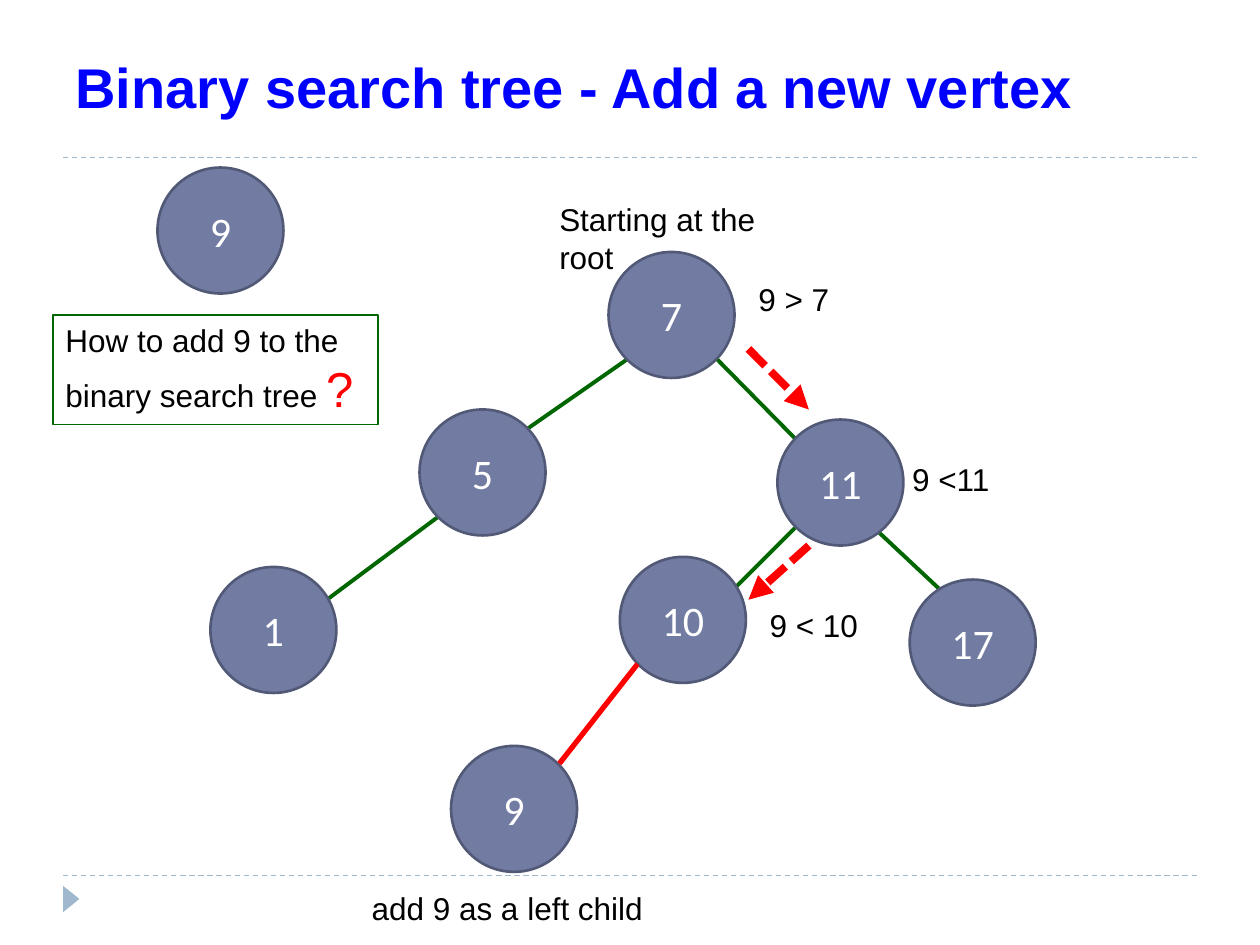
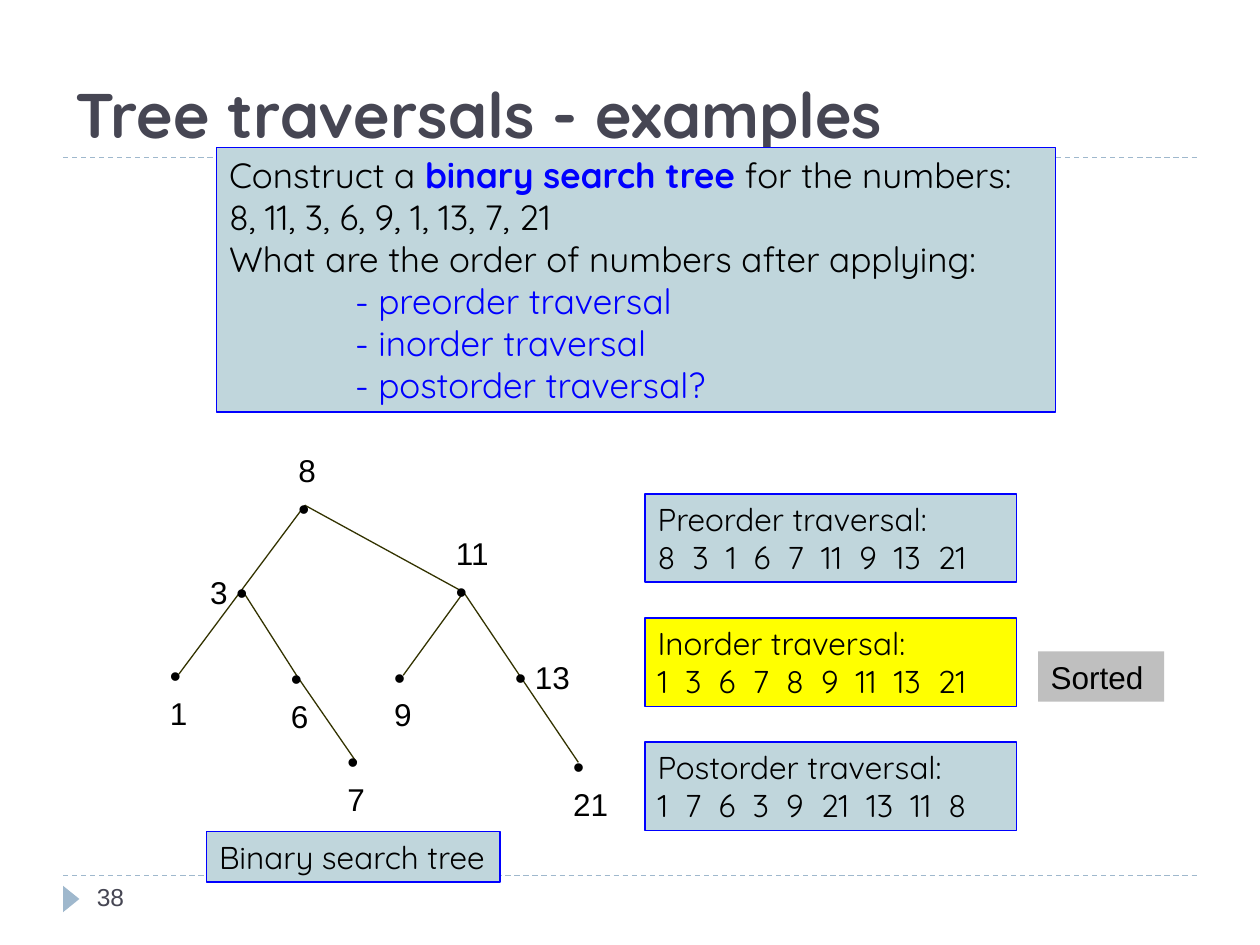
from lxml.etree import SubElement
from pptx import Presentation
from pptx.dml.color import RGBColor
from pptx.enum.dml import MSO_LINE
from pptx.enum.shapes import MSO_CONNECTOR, MSO_SHAPE as SHAPE
from pptx.enum.text import MSO_ANCHOR as ANCHOR, PP_ALIGN as ALIGN
from pptx.oxml.ns import qn
from pptx.util import Inches, Pt

BLUE = RGBColor(0x00, 0x00, 0xFF)
RED = RGBColor(0xFF, 0x00, 0x00)
GREEN = RGBColor(0x00, 0x66, 0x00)
OLIVE = RGBColor(0x33, 0x33, 0x00)
YELLOW = RGBColor(0xFF, 0xFF, 0x00)
BLACK = RGBColor(0x00, 0x00, 0x00)
WHITE = RGBColor(0xFF, 0xFF, 0xFF)
GREY = RGBColor(0xBF, 0xBF, 0xBF)
SLATE = RGBColor(0x46, 0x46, 0x53)
RULE = RGBColor(0x9F, 0xB8, 0xCD)
PANEL = RGBColor(0xC0, 0xD6, 0xDC)
NODE = RGBColor(0x72, 0x7C, 0xA3)
NODE_EDGE = RGBColor(0x52, 0x59, 0x77)
SANS, ROUND, NODE_FONT = "Arial", "Quicksand", "Calibri"
DIAMETER = 1


def format_run(r, size, font, color, bold=False):
    r.font.size = Pt(size)
    r.font.name = font
    r.font.color.rgb = color
    r.font.bold = bold


def write(tf, paragraphs, size=18, font=SANS, color=BLACK, bold=False, align=ALIGN.LEFT):
    for i, text in enumerate(paragraphs):
        p = tf.paragraphs[0] if i == 0 else tf.add_paragraph()
        p.text = text
        p.alignment = align
        for r in p.runs:
            format_run(r, size, font, color, bold)


def add_text(slide, at, paragraphs, wrap=False, anchor=ANCHOR.TOP, **style):
    tf = slide.shapes.add_textbox(*map(Inches, at)).text_frame
    tf.word_wrap = wrap
    tf.vertical_anchor = anchor
    write(tf, paragraphs, **style)


def add_shape(slide, kind, at, fill=None, line=None, width=0.75):
    sp = slide.shapes.add_shape(kind, *map(Inches, at))
    sp.shadow.inherit = False
    if fill is None:
        sp.fill.background()
    else:
        sp.fill.solid()
        sp.fill.fore_color.rgb = fill
    if line is None:
        sp.line.fill.background()
    else:
        sp.line.color.rgb = line
        sp.line.width = Pt(width)
    return sp


def add_box(slide, at, paragraphs, fill=PANEL, line=BLUE, **style):
    tf = add_shape(slide, SHAPE.RECTANGLE, at, fill, line).text_frame
    tf.word_wrap = True
    tf.vertical_anchor = ANCHOR.TOP
    write(tf, paragraphs, **style)
    return tf


def add_line(slide, start, end, color, width, dash=None, arrow=False):
    cn = slide.shapes.add_connector(MSO_CONNECTOR.STRAIGHT, *map(Inches, start + end))
    cn.line.color.rgb = color
    cn.line.width = Pt(width)
    if dash:
        cn.line.dash_style = dash
    if arrow:
        SubElement(cn.line._get_or_add_ln(), qn("a:tailEnd"), type="triangle")
    SubElement(cn._element.spPr, qn("a:effectLst"))


def add_node(slide, left, top, value):
    sp = add_shape(slide, SHAPE.OVAL, (left, top, DIAMETER, DIAMETER), NODE, NODE_EDGE, 1.5)
    sp.text_frame.vertical_anchor = ANCHOR.MIDDLE
    write(sp.text_frame, [value], size=24, font=NODE_FONT, color=WHITE, align=ALIGN.CENTER)


def new_slide(prs, title, top, **style):
    slide = prs.slides.add_slide(prs.slide_layouts[6])
    for y in (6.95, 1.25):
        add_line(slide, (0.5, y), (9.5, y), RULE, 0.75, MSO_LINE.DASH)
    marker = add_shape(slide, SHAPE.ISOSCELES_TRIANGLE, (0.46, 7.07, 0.21, 0.13), RULE)
    marker.rotation = 90
    add_text(slide, (0.5, top, 9, 1.25), [title], wrap=True, anchor=ANCHOR.BOTTOM,
             bold=True, **style)
    return slide


def build_insertion(prs):
    slide = new_slide(prs, "Binary search tree - Add a new vertex", -0.25,
                      size=32, font=SANS, color=BLUE)
    edges = [((4.98, 2.85), (4.19, 3.4)), ((3.48, 4.1), (2.5, 4.83)),
             ((5.69, 2.85), (6.31, 3.48)), ((6.31, 4.19), (5.83, 4.67)),
             ((6.97, 4.22), (7.45, 4.67))]
    for start, end in edges:
        add_line(slide, start, end, GREEN, 2.25)
    nodes = [(4.83, 2, "7"), (3.33, 3.25, "5"), (6.17, 3.33, "11"), (1.67, 4.5, "1"),
             (4.92, 4.42, "10"), (7.22, 4.6, "17"), (1.25, 1.33, "9"), (3.58, 5.92, "9")]
    for node in nodes:
        add_node(slide, *node)
    add_line(slide, (5.06, 5.27), (4.44, 6.06), RED, 3)

    question = add_box(slide, (0.42, 2.5, 2.58, 0.87),
                       ["How to add 9 to the binary search tree "], None, GREEN)
    r = question.paragraphs[0].add_run()
    r.text = "?"
    format_run(r, 28, SANS, RED)

    labels = [(5.92, 2.17, 0.76, "9 > 7"), (7.14, 3.6, 0.83, "9 <11"),
              (6.01, 4.76, 0.9, "9 < 10"), (2.85, 7.01, 2.42, "add 9 as a left child"),
              (4.34, 1.54, 2.25, "Starting at the root")]
    for left, top, width, text in labels:
        add_text(slide, (left, top, width, 0.4), [text])
    for start, end in [((5.94, 2.77), (6.42, 3.25)), ((6.42, 4.33), (5.94, 4.76))]:
        add_line(slide, start, end, RED, 4.5, MSO_LINE.SQUARE_DOT, arrow=True)


def add_exercise(slide):
    tf = add_box(slide, (1.72, 1.17, 6.66, 2.1),
                 ["Construct a ", "8, 11, 3, 6, 9, 1, 13, 7, 21",
                  "What are the order of numbers after applying:",
                  "- preorder traversal", "- inorder traversal", "- postorder traversal?"],
                 size=20, font=ROUND)
    for text, color, bold in [("binary search tree ", BLUE, True),
                              ("for the numbers:", BLACK, False)]:
        r = tf.paragraphs[0].add_run()
        r.text = text
        format_run(r, 20, ROUND, color, bold)
    for p in tf.paragraphs[3:]:
        p._p.get_or_add_pPr().set("marL", str(Inches(1)))
        p.runs[0].font.color.rgb = BLUE


def add_search_tree(slide):
    vertices = {8: (2.42, 4.01), 3: (1.92, 4.68), 11: (3.68, 4.7),
                1: (1.42, 5.35), 6: (2.36, 5.37), 9: (3.2, 5.36),
                13: (4.13, 5.37), 7: (2.83, 6.05), 21: (4.59, 6.05)}
    children = {8: (3, 11), 3: (1, 6), 11: (9, 13), 6: (7,), 13: (21,)}
    for parent, kids in children.items():
        for kid in kids:
            add_line(slide, vertices[parent], vertices[kid], OLIVE, 0.75)
    labels = [(1.57, 4.5, 0.51, ["3 •"]), (3.52, 4.19, 0.48, ["11", "•"]),
              (2.27, 3.53, 0.34, ["8", "•"]), (1.25, 5.16, 0.34, ["•", "1"]),
              (2.21, 5.18, 0.34, ["•", "6"]), (3.03, 5.17, 0.34, ["•", "9"]),
              (3.99, 5.17, 0.65, ["• 13"]), (4.45, 5.88, 0.48, ["•", "21"]),
              (2.66, 5.84, 0.34, ["•", "7"])]
    for left, top, width, lines in labels:
        add_text(slide, (left, top, width, 0.1 + 0.3 * len(lines)), lines)
    add_box(slide, (1.64, 6.6, 2.33, 0.4), ["Binary search tree"], font=ROUND)


def build_traversals(prs):
    slide = new_slide(prs, "Tree traversals - examples", 0, size=36, font=ROUND, color=SLATE)
    add_exercise(slide)
    add_search_tree(slide)
    orders = [("Preorder traversal:", "8  3  1  6  7  11  9  13  21", PANEL),
              ("Inorder traversal:", "1  3  6  7  8  9  11  13  21", YELLOW),
              ("Postorder traversal:", "1  7  6  3  9  21  13  11  8", PANEL)]
    for i, (name, order, fill) in enumerate(orders):
        add_box(slide, (5.12, 3.92 + 0.985 * i, 2.95, 0.7), [name, order], fill, font=ROUND)
    add_box(slide, (8.24, 5.17, 1, 0.4), ["Sorted"], GREY, None)
    add_text(slide, (0.67, 6.95, 2.17, 0.4), ["38"], wrap=True, size=14, color=SLATE)


def main():
    prs = Presentation()
    prs.slide_width, prs.slide_height = Inches(10), Inches(7.5)
    build_insertion(prs)
    build_traversals(prs)
    prs.save("out.pptx")


if __name__ == "__main__":
    main()
